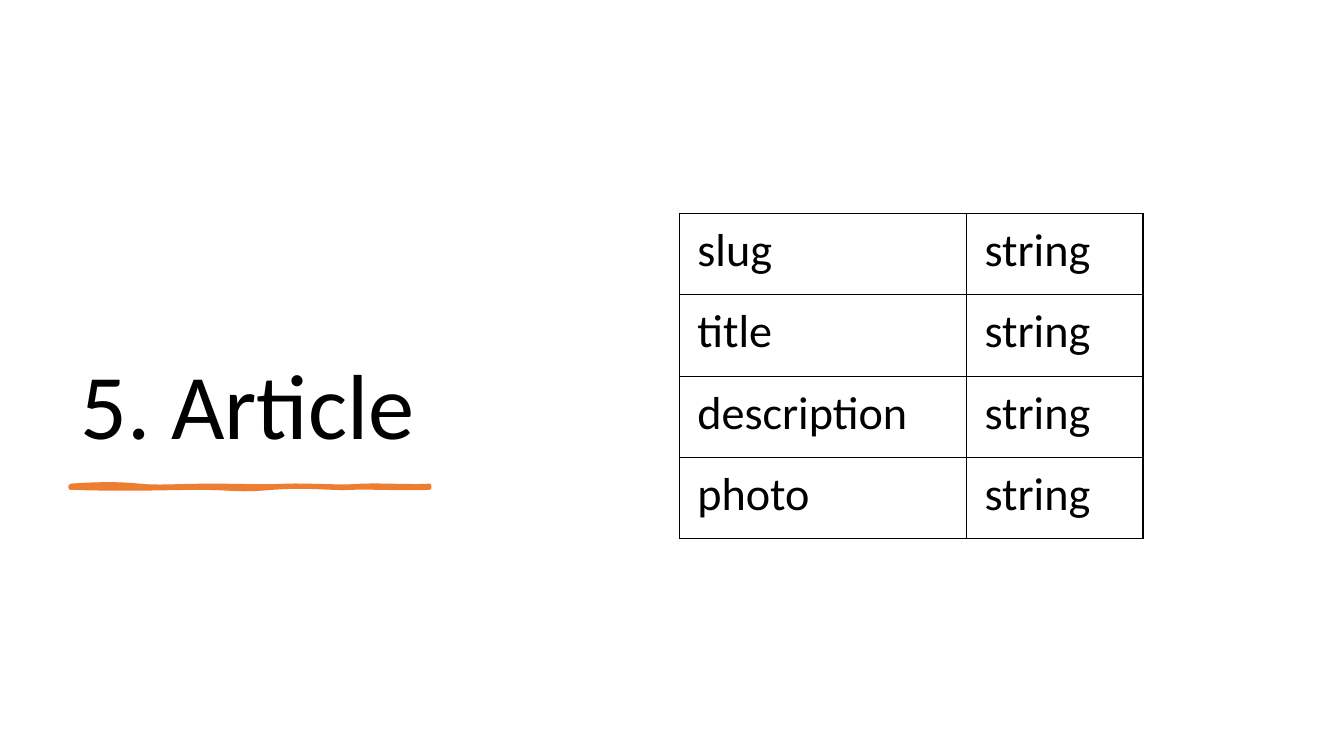
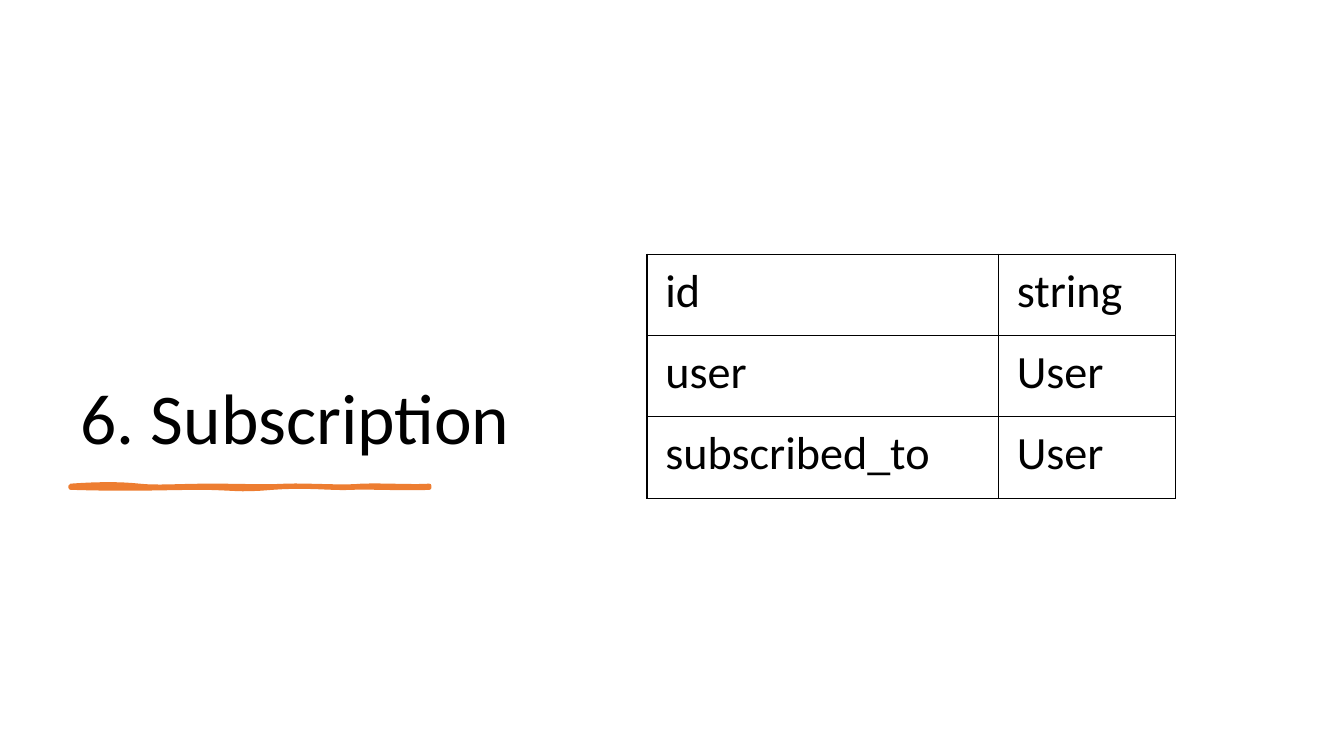
"""Build two data model slides, each with a title, a drawn rule and a field table."""
from lxml import etree
from pptx import Presentation
from pptx.dml.color import RGBColor
from pptx.enum.text import MSO_ANCHOR
from pptx.oxml.ns import qn
from pptx.util import Cm, Pt

BOTTOM = MSO_ANCHOR.BOTTOM

THEME = {
    "font": "Calibri",
    "ink": "000000",
    "accent": "ED7D31",
    "cell": 33,
    "rule": 3,
    "border": 1,
}

MODELS = [
    {
        "title": "5. Article", "size": 66, "width": 9.93, "cols": (7.24, 4.45),
        "rows": [("slug", "string"), ("title", "string"),
                 ("description", "string"), ("photo", "string")],
    },
    {
        "title": "6. Subscription", "size": 51, "width": 11.96, "cols": (8.86, 4.45),
        "rows": [("id", "string"), ("user", "User"), ("subscribed_to", "User")],
    },
]

LEFT, TOP, TALL = 1.78, 1.78, 9.93
MID_X, MID_Y, ROW = 22.96, 9.48, 2.05
INSETS = {
    "margin_left": Cm(0.46), "margin_right": Cm(0.46),
    "margin_top": Cm(0.23), "margin_bottom": Cm(0.23),
}

STEPS = 8
START = (LEFT, 12.24)
UPPER = [
    ((2.46, 12.19), (3.07, 12.19), (3.51, 12.24)),
    ((3.94, 12.29), (4.5, 12.24), (5.31, 12.24)),
    ((6.12, 12.24), (6.6, 12.27), (7.21, 12.24)),
    ((7.82, 12.22), (8.61, 12.29), (9.12, 12.24)),
    ((9.63, 12.22), (10.46, 12.27), (10.82, 12.24)),
]
LOWER = [
    ((10.82, 12.27), (10.82, 12.29), (10.82, 12.29)),
    ((10.36, 12.32), (9.25, 12.27), (8.84, 12.29)),
    ((8.43, 12.32), (7.72, 12.22), (6.86, 12.29)),
    ((5.97, 12.37), (5.87, 12.29), (5.05, 12.29)),
    ((4.22, 12.29), (3.35, 12.34), (LEFT, 12.29)),
]


def color(name):
    return RGBColor.from_string(THEME[name])


def write(frame, text, size):
    para = frame.paragraphs[0]
    run = para.add_run()
    run.text = text
    for key, value in {"name": THEME["font"], "size": Pt(size)}.items():
        setattr(run.font, key, value)
    run.font.color.rgb = color("ink")
    return para


def add_title(slide, model):
    box = slide.shapes.add_textbox(Cm(LEFT), Cm(TOP), Cm(model["width"]), Cm(TALL))
    frame = box.text_frame
    for key, value in {"word_wrap": True, "vertical_anchor": BOTTOM}.items():
        setattr(frame, key, value)
    write(frame, model["title"], model["size"]).line_spacing = 0.9


def trace(start, curves):
    points = []
    for one, two, end in curves:
        for step in range(1, STEPS + 1):
            t = step / STEPS
            u = 1 - t
            points.append(tuple(
                Cm(u**3 * a + 3 * u * u * t * b + 3 * u * t * t * c + t**3 * d)
                for a, b, c, d in zip(start, one, two, end)))
        start = end
    return points


def add_rule(slide):
    pen = slide.shapes.build_freeform(*(Cm(v) for v in START))
    pen.add_line_segments(trace(START, UPPER + LOWER), close=True)
    rule = pen.convert_to_shape()
    rule.shadow.inherit = False
    for fill in (rule.fill, rule.line.fill):
        fill.solid()
        fill.fore_color.rgb = color("accent")
    rule.line.width = Pt(THEME["rule"])


def add_border(cell):
    props = cell._tc.get_or_add_tcPr()
    for side in ("lnL", "lnR", "lnT", "lnB"):
        line = etree.SubElement(props, qn("a:" + side), w=str(Pt(THEME["border"])))
        fill = etree.SubElement(line, qn("a:solidFill"))
        etree.SubElement(fill, qn("a:srgbClr"), val=THEME["ink"])


def add_fields(slide, model):
    rows, cols = model["rows"], model["cols"]
    width, height = sum(cols), ROW * len(rows)
    table = slide.shapes.add_table(
        len(rows), len(cols), Cm(MID_X - width / 2), Cm(MID_Y - height / 2),
        Cm(width), Cm(height)).table
    for key in ("first_row", "horz_banding"):
        setattr(table, key, False)
    for col, size in zip(table.columns, cols):
        col.width = Cm(size)
    for row, texts in zip(table.rows, rows):
        row.height = Cm(ROW)
        for cell, text in zip(row.cells, texts):
            for key, value in INSETS.items():
                setattr(cell, key, value)
            add_border(cell)
            cell.fill.background()
            write(cell.text_frame, text, THEME["cell"])


def main():
    deck = Presentation()
    deck.slide_width, deck.slide_height = Cm(33.87), Cm(19.05)
    for model in MODELS:
        slide = deck.slides.add_slide(deck.slide_layouts[6])
        add_title(slide, model)
        add_rule(slide)
        add_fields(slide, model)
    deck.save("out.pptx")


if __name__ == "__main__":
    main()
